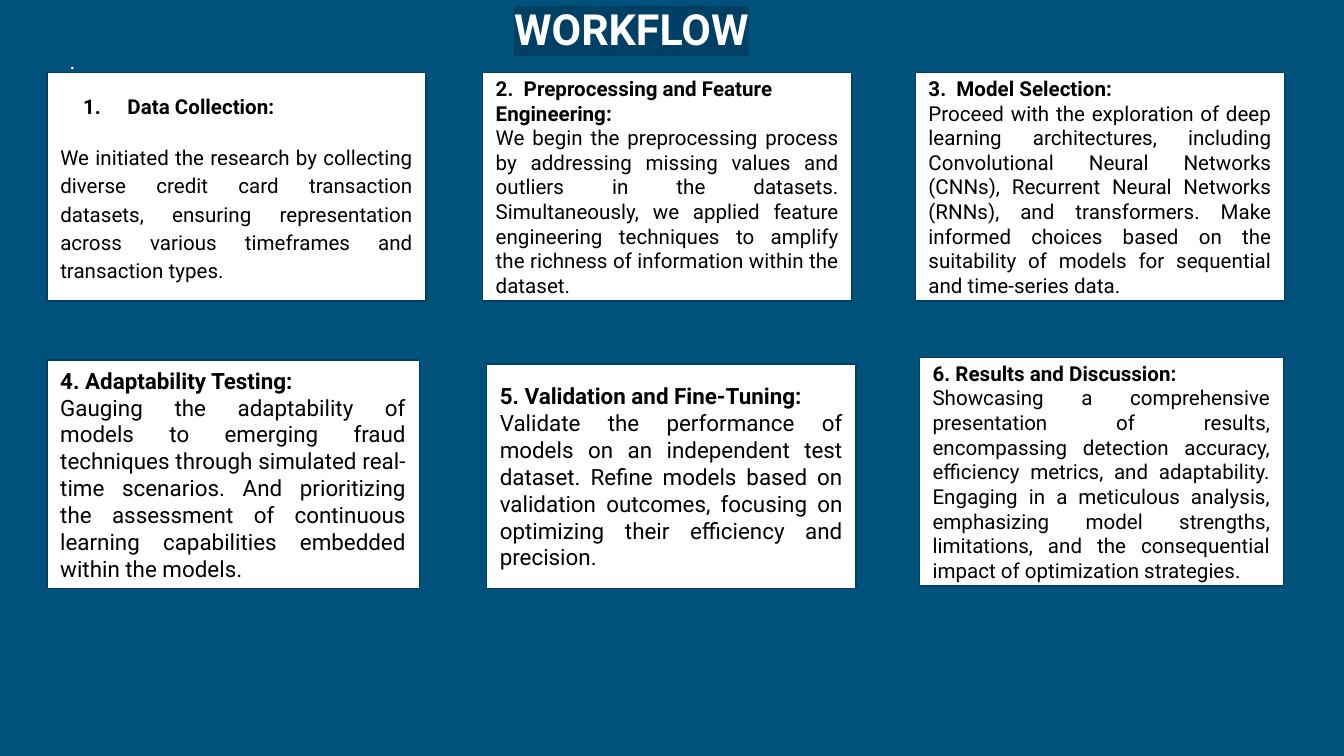
from dataclasses import dataclass

from lxml.etree import SubElement
from pptx import Presentation
from pptx.dml.color import RGBColor
from pptx.enum.shapes import MSO_SHAPE
from pptx.enum.text import MSO_ANCHOR, PP_ALIGN
from pptx.oxml.ns import qn
from pptx.util import Inches, Pt


@dataclass(frozen=True)
class Theme:
    font: str = "Roboto"
    back: str = "00517C"
    edge: str = "004065"
    white: str = "FFFFFF"
    black: str = "000000"
    title: int = 23
    large: int = 12
    small: int = 11


THEME = Theme()

# Left, top, width, height, type size, heading, body
STEPS = [
    (0.35, 0.54, 2.82, 1.7, THEME.small, "Data Collection:",
     "We initiated the research by collecting diverse credit card transaction "
     "datasets, ensuring representation across various timeframes and "
     "transaction types."),
    (3.59, 0.54, 2.75, 1.7, THEME.small,
     "2.  Preprocessing and Feature Engineering:",
     "We begin the preprocessing process by addressing missing values and "
     "outliers in the datasets. Simultaneously, we applied feature engineering "
     "techniques to amplify the richness of information within the dataset."),
    (6.81, 0.54, 2.75, 1.7, THEME.small, "3.  Model Selection:",
     "Proceed with the exploration of deep learning architectures, including "
     "Convolutional Neural Networks (CNNs), Recurrent Neural Networks (RNNs), "
     "and transformers. Make informed choices based on the suitability of "
     "models for sequential and time-series data."),
    (0.35, 2.68, 2.77, 1.7, THEME.large, "4. Adaptability Testing:",
     "Gauging the adaptability of models to emerging fraud techniques through "
     "simulated real-time scenarios. And prioritizing the assessment of "
     "continuous learning capabilities embedded within the models."),
    (3.62, 2.71, 2.75, 1.67, THEME.large, "5. Validation and Fine-Tuning:",
     "Validate the performance of models on an independent test dataset. "
     "Refine models based on validation outcomes, focusing on optimizing "
     "their efficiency and precision."),
    (6.84, 2.66, 2.71, 1.7, THEME.small, "6. Results and Discussion:",
     "Showcasing a comprehensive presentation of results, encompassing "
     "detection accuracy, efficiency metrics, and adaptability. Engaging in a "
     "meticulous analysis, emphasizing model strengths, limitations, and the "
     "consequential impact of optimization strategies."),
]


def rgb(code):
    return RGBColor.from_string(code)


def add_run(para, text, size, color, mark, bold=False):
    """Add a run with a highlight behind it."""
    run = para.add_run()
    run.text = text
    font = run.font
    font.name, font.size, font.bold = THEME.font, Pt(size), bold
    font.color.rgb = rgb(color)
    props = run._r.get_or_add_rPr()
    light = SubElement(props, qn("a:highlight"))
    SubElement(light, qn("a:srgbClr"), val=mark)
    props.find(qn("a:solidFill")).addnext(light)


def set_frame(shape, anchor):
    frame = shape.text_frame
    frame.word_wrap = True
    frame.vertical_anchor = anchor
    frame.margin_left = frame.margin_right = Inches(0.1)
    frame.margin_top = frame.margin_bottom = Inches(0.1)
    return frame


def add_label(slide, box, align):
    """Add a text box and return its first paragraph."""
    shape = slide.shapes.add_textbox(*map(Inches, box))
    para = set_frame(shape, MSO_ANCHOR.TOP).paragraphs[0]
    para.alignment = align
    return para


def add_card(slide, box, size, head, body):
    card = slide.shapes.add_shape(MSO_SHAPE.RECTANGLE, *map(Inches, box))
    card.shadow.inherit = False
    card.fill.solid()
    card.fill.fore_color.rgb = rgb(THEME.white)
    card.line.color.rgb = rgb(THEME.edge)
    card.line.width = Pt(0.75)
    frame = set_frame(card, MSO_ANCHOR.MIDDLE)
    top, rest = frame.paragraphs[0], frame.add_paragraph()
    top.alignment, rest.alignment = PP_ALIGN.LEFT, PP_ALIGN.JUSTIFY
    add_run(top, head, size, THEME.black, THEME.white, True)
    add_run(rest, body, size, THEME.black, THEME.white)
    return top, rest


def number(para):
    """Give a paragraph an automatic number with a hanging indent."""
    props = para._p.get_or_add_pPr()
    props.set("marL", str(Inches(0.5)))
    props.set("indent", str(Inches(-0.33)))
    tint = SubElement(props, qn("a:buClr"))
    SubElement(tint, qn("a:srgbClr"), val=THEME.black)
    SubElement(props, qn("a:buFont"), typeface=THEME.font)
    SubElement(props, qn("a:buAutoNum"), type="arabicPeriod")


def main():
    deck = Presentation()
    deck.slide_width = Inches(10)
    deck.slide_height = Inches(10 * 9 / 16)
    slide = deck.slides.add_slide(deck.slide_layouts[6])
    fill = slide.background.fill
    fill.solid()
    fill.fore_color.rgb = rgb(THEME.back)

    dot = add_label(slide, (0.42, 0.22, 2.01, 1.51), PP_ALIGN.LEFT)
    dot.line_spacing, dot.space_after = 1.15, Pt(12)
    add_run(dot, ".", THEME.large, THEME.white, THEME.back)

    title = add_label(slide, (3.72, -0.08, 1.96, 0.35), PP_ALIGN.CENTER)
    add_run(title, "WORKFLOW", THEME.title, THEME.white, THEME.edge, True)

    cards = [add_card(slide, step[:4], *step[4:]) for step in STEPS]
    top, rest = cards[0]
    top.line_spacing = rest.line_spacing = 1.15
    rest.space_before = rest.space_after = Pt(12)
    number(top)

    deck.save("out.pptx")


if __name__ == "__main__":
    main()
